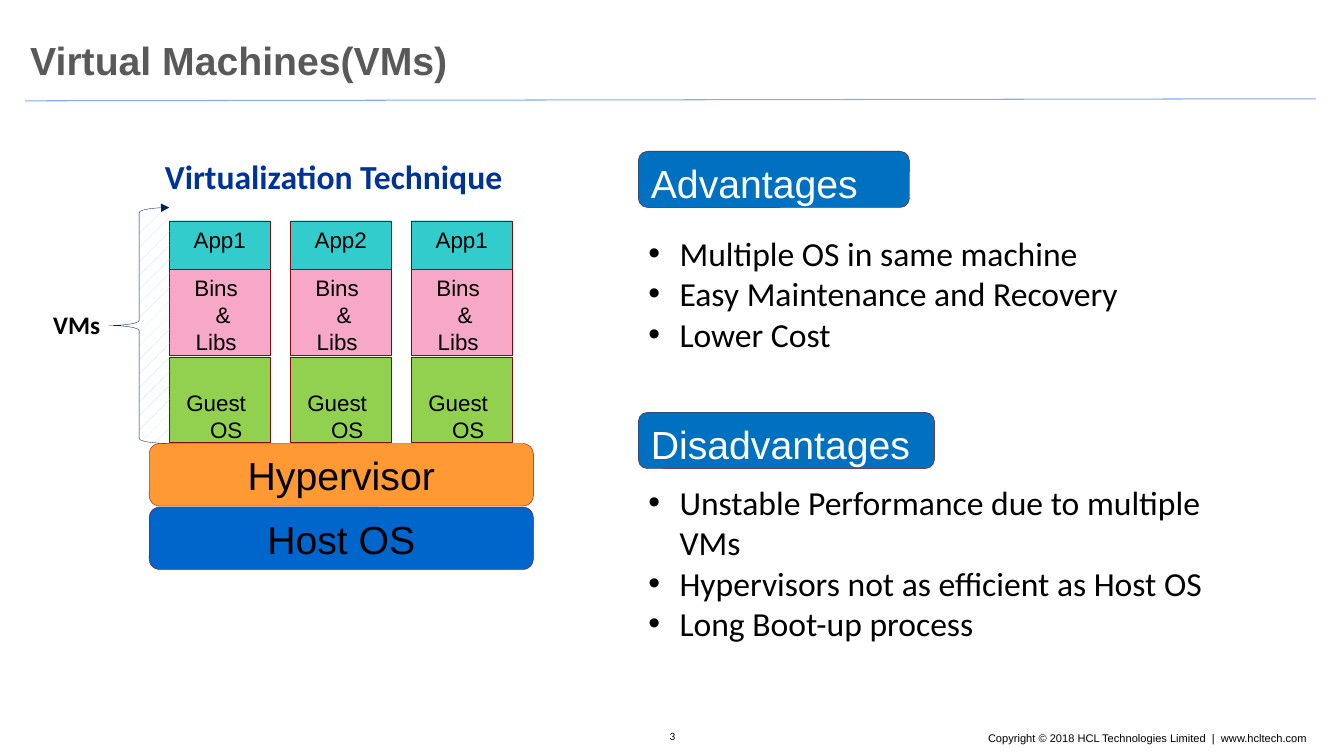
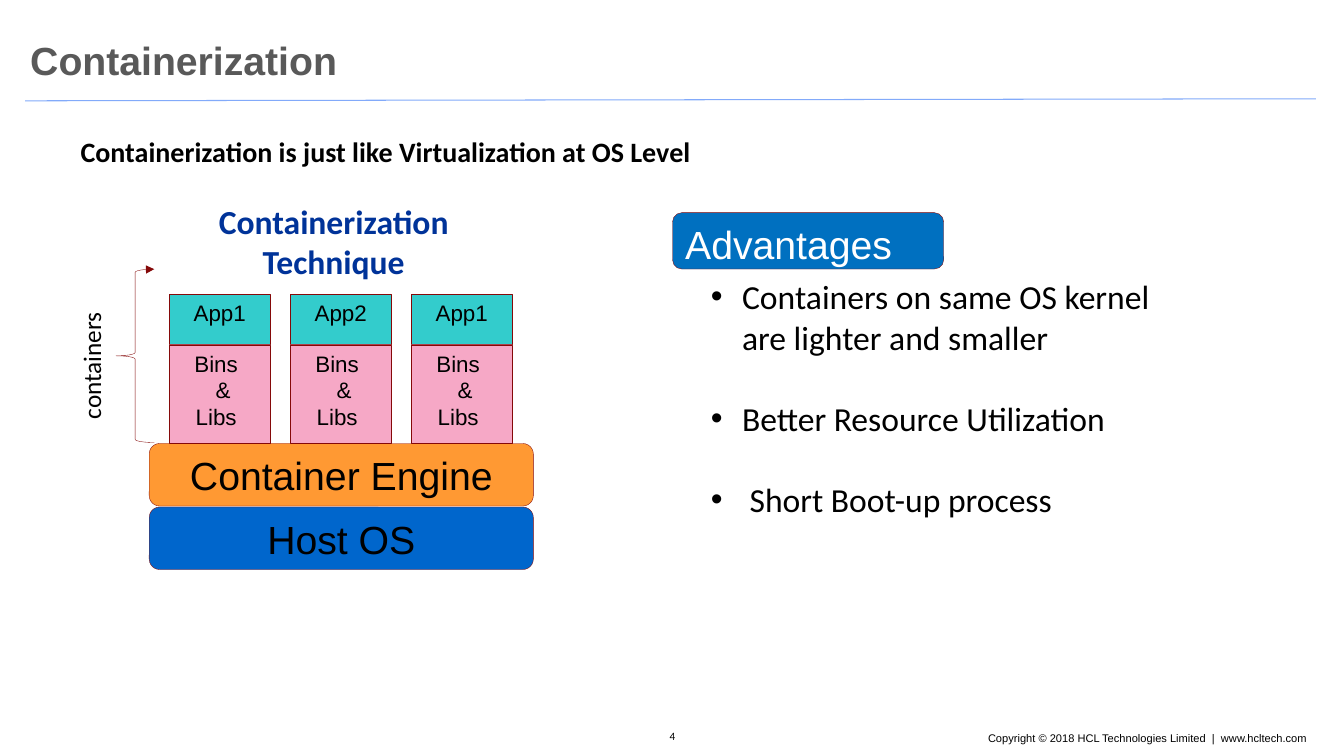
from lxml.etree import SubElement
from pptx import Presentation
from pptx.dml.color import RGBColor
from pptx.enum.dml import MSO_PATTERN
from pptx.enum.shapes import MSO_CONNECTOR, MSO_SHAPE
from pptx.enum.text import MSO_ANCHOR, MSO_AUTO_SIZE, PP_ALIGN
from pptx.oxml.ns import qn
from pptx.util import Inches, Pt

COLORS = {
    "title": "595959", "rule": "82AAFA", "black": "000000", "white": "FFFFFF",
    "caption": "003399", "heading": "0070C0", "outline": "850909", "navy": "002060",
    "host": "0066CC", "engine": "FF9933", "guest": "92D050", "app": "33CCCC",
    "bins": "F6A8C6", "hatch": "BBE0E3",
}
COPYRIGHT = "Copyright © 2018 HCL Technologies Limited  |  www.hcltech.com"

# Stacked diagram: lines are (text, indent that shifts the centred line)
APPS = ["App1", "App2", "App1"]
BINS = [("Bins", 0), ("&", 0.14), ("Libs", 0)]
GUEST = [("Guest", 0), ("OS", 0.2)]
TOWER_LEFT, TOWER_STEP, TOWER_WIDTH = 1.68, 1.2, 1
BASE_LEFT, BASE_TOP, BASE_WIDTH, BASE_HEIGHT, BASE_STEP = 1.48, 4.4, 3.81, 0.62, 0.63

SLIDES = [
    {
        "number": 3,
        "title": "Virtual Machines(VMs)",
        "layout": 3,
        "bases": [("Hypervisor", "engine"), ("Host OS", "host")],
        "app": (2.19, 0.5),
        # layer: lines, fill, top, height, top inset
        "layers": [(BINS, "bins", 2.67, 0.85, 0.05), (GUEST, "guest", 3.54, 0.85, 0.32)],
        "brace": ((1.08, 2.06, 0.6, 2.34), "navy", True),
        "labels": [
            ("Virtualization Technique", (1.33, 1.5, 3.96, 0.5), 24, "caption", True, 0),
            ("VMs", (0.43, 3.02, 0.9, 0.4), 18, "black", True, 0),
        ],
        "panels": [
            ("Advantages", (6.33, 1.5, 2.69, 0.56), (6.33, 2.26, 5.32, 1.62), 0,
             ["Multiple OS in same machine", "Easy Maintenance and Recovery", "Lower Cost"]),
            ("Disadvantages", (6.33, 4.09, 2.94, 0.56), (6.33, 4.73, 6, 2.02), 0,
             ["Unstable Performance due to multiple VMs",
              "Hypervisors not as efficient as Host OS", "Long Boot-up process"]),
        ],
    },
    {
        "number": 4,
        "title": "Containerization",
        "layout": 1,
        "bases": [("Container Engine", "engine"), ("Host OS", "host")],
        "app": (2.92, 0.5),
        "layers": [(BINS, "bins", 3.42, 0.98, 0.05)],
        "brace": ((1.15, 2.67, 0.38, 1.72), "outline", False),
        "labels": [
            ("Containerization Technique", (1.33, 1.94, 3.96, 0.91), 24, "caption", True, 0),
            ("containers", (0.27, 3.42, 1.27, 0.4), 18, "black", False, 270),
            ("Containerization is just like Virtualization at OS Level",
             (0.7, 1.29, 6.38, 0.44), 20, "black", True, 0),
        ],
        "panels": [
            ("Advantages", (6.67, 2.11, 2.69, 0.56), (6.95, 2.69, 4.7, 2.52), 29.3,
             ["Containers on same OS kernel are lighter and smaller",
              "Better Resource Utilization", " Short Boot-up process"]),
        ],
    },
]


def rgb(name):
    return RGBColor.from_string(COLORS[name])


def place(shape, at):
    shape.left, shape.top, shape.width, shape.height = (Inches(value) for value in at)


def set_frame(frame, wrap=True, anchor=MSO_ANCHOR.TOP, insets=(0.1, 0.05, 0.1, 0.05)):
    frame.auto_size = MSO_AUTO_SIZE.NONE
    frame.word_wrap = wrap
    frame.vertical_anchor = anchor
    (frame.margin_left, frame.margin_top,
     frame.margin_right, frame.margin_bottom) = (Inches(value) for value in insets)


def style(para, size, color="black", face="Arial", bold=False, align=PP_ALIGN.LEFT):
    para.alignment = align
    for span in para.runs:
        font = span.font
        font.size, font.name, font.bold = Pt(size), face, bold
        font.color.rgb = rgb(color)


def set_indent(para, left, first=0):
    properties = para._p.get_or_add_pPr()
    properties.set("marL", str(Inches(left)))
    properties.set("indent", str(Inches(first)))


def add_text(page, text, at, size, wrap=True, frame_options=None, **look):
    box = page.shapes.add_textbox(*(Inches(value) for value in at))
    set_frame(box.text_frame, wrap, **(frame_options or {}))
    box.text_frame.text = text
    style(box.text_frame.paragraphs[0], size, **look)
    return box


def add_block(page, kind, at, fill, line="outline"):
    block = page.shapes.add_shape(kind, *(Inches(value) for value in at))
    block.shadow.inherit = False
    block.fill.solid()
    block.fill.fore_color.rgb = rgb(fill)
    block.line.color.rgb = rgb(line)
    block.line.width = Pt(0.25)
    return block


def add_bar(page, text, at, fill, color="black", align=PP_ALIGN.CENTER):
    bar = add_block(page, MSO_SHAPE.ROUNDED_RECTANGLE, at, fill)
    set_frame(bar.text_frame, wrap=False)
    bar.text_frame.text = text
    style(bar.text_frame.paragraphs[0], 28, color, align=align)


def add_layer(page, lines, at, fill, insets):
    layer = add_block(page, MSO_SHAPE.RECTANGLE, at, fill)
    set_frame(layer.text_frame, insets=insets)
    layer.text_frame.text = "\n".join(text for text, _ in lines)
    for para, (_, indent) in zip(layer.text_frame.paragraphs, lines):
        set_indent(para, indent)
        style(para, 16, align=PP_ALIGN.CENTER)


def add_shared_parts(page, title, number):
    # Title
    place(page.shapes.title, (0.25, 0.18, 9.43, 0.82))
    frame = page.shapes.title.text_frame
    set_frame(frame, anchor=MSO_ANCHOR.MIDDLE, insets=(0.05,) * 4)
    frame.text = title
    style(frame.paragraphs[0], 28, "title", bold=True)
    # Rule under the title
    rule = page.shapes.add_connector(
        MSO_CONNECTOR.STRAIGHT, Inches(0.25), Inches(1), Inches(13.05), Inches(0.98))
    rule.line.color.rgb = rgb("rule")
    rule.line.width = Pt(0.75)
    SubElement(rule._element.spPr, qn("a:effectLst"))
    # Footer
    add_text(page, str(number), (6.6, 7.24, 0.14, 0.13), 8, wrap=False, face="Calibri",
             align=PP_ALIGN.CENTER,
             frame_options={"anchor": MSO_ANCHOR.MIDDLE, "insets": (0,) * 4})
    add_text(page, COPYRIGHT, (9.65, 7.21, 3.31, 0.23), 7.9, wrap=False,
             align=PP_ALIGN.RIGHT, frame_options={"insets": (0.09, 0.05, 0, 0.05)})


def add_diagram(page, content):
    for row, (text, fill) in enumerate(content["bases"]):
        add_bar(page, text, (BASE_LEFT, BASE_TOP + row * BASE_STEP, BASE_WIDTH, BASE_HEIGHT), fill)
    app_top, app_height = content["app"]
    for column, app in enumerate(APPS):
        left = TOWER_LEFT + column * TOWER_STEP
        add_layer(page, [(app, 0)], (left, app_top, TOWER_WIDTH, app_height), "app",
                  (0.1, 0.05, 0.1, 0.05))
        for lines, fill, top, height, inset in content["layers"]:
            add_layer(page, lines, (left, top, TOWER_WIDTH, height), fill,
                      (0.1, inset, 0.17, 0))
    # Brace with an arrowhead at its upper end
    at, line, hatched = content["brace"]
    brace = add_block(page, MSO_SHAPE.LEFT_BRACE, at, "white", line)
    if hatched:
        brace.fill.patterned()
        brace.fill.pattern = MSO_PATTERN.PERCENT_5
        brace.fill.fore_color.rgb = rgb("hatch")
        brace.fill.back_color.rgb = rgb("white")
    SubElement(brace.line._get_or_add_ln(), qn("a:tailEnd"), type="triangle")
    for text, at, size, color, bold, turn in content["labels"]:
        align = PP_ALIGN.CENTER if color == "caption" else PP_ALIGN.LEFT
        label = add_text(page, text, at, size, wrap=not turn, color=color,
                         face="Calibri", bold=bold, align=align)
        label.rotation = turn


def add_panel(page, body, heading, heading_at, list_at, gap, items):
    add_bar(page, heading, heading_at, "heading", "white", PP_ALIGN.LEFT)
    place(body, list_at)
    set_frame(body.text_frame)
    body.text_frame.text = "\n".join(items)
    for index, para in enumerate(body.text_frame.paragraphs):
        set_indent(para, 0.31, -0.31)
        para.space_before = Pt(gap if index else 0)
        style(para, 24, face="Calibri")


def main():
    deck = Presentation()
    deck.slide_width, deck.slide_height = Inches(13.33), Inches(7.5)
    for content in SLIDES:
        page = deck.slides.add_slide(deck.slide_layouts[content["layout"]])
        bodies = [holder for holder in page.placeholders if holder.placeholder_format.idx > 0]
        add_shared_parts(page, content["title"], content["number"])
        add_diagram(page, content)
        for body, panel in zip(bodies, content["panels"]):
            add_panel(page, body, *panel)
    deck.save("out.pptx")


if __name__ == "__main__":
    main()
